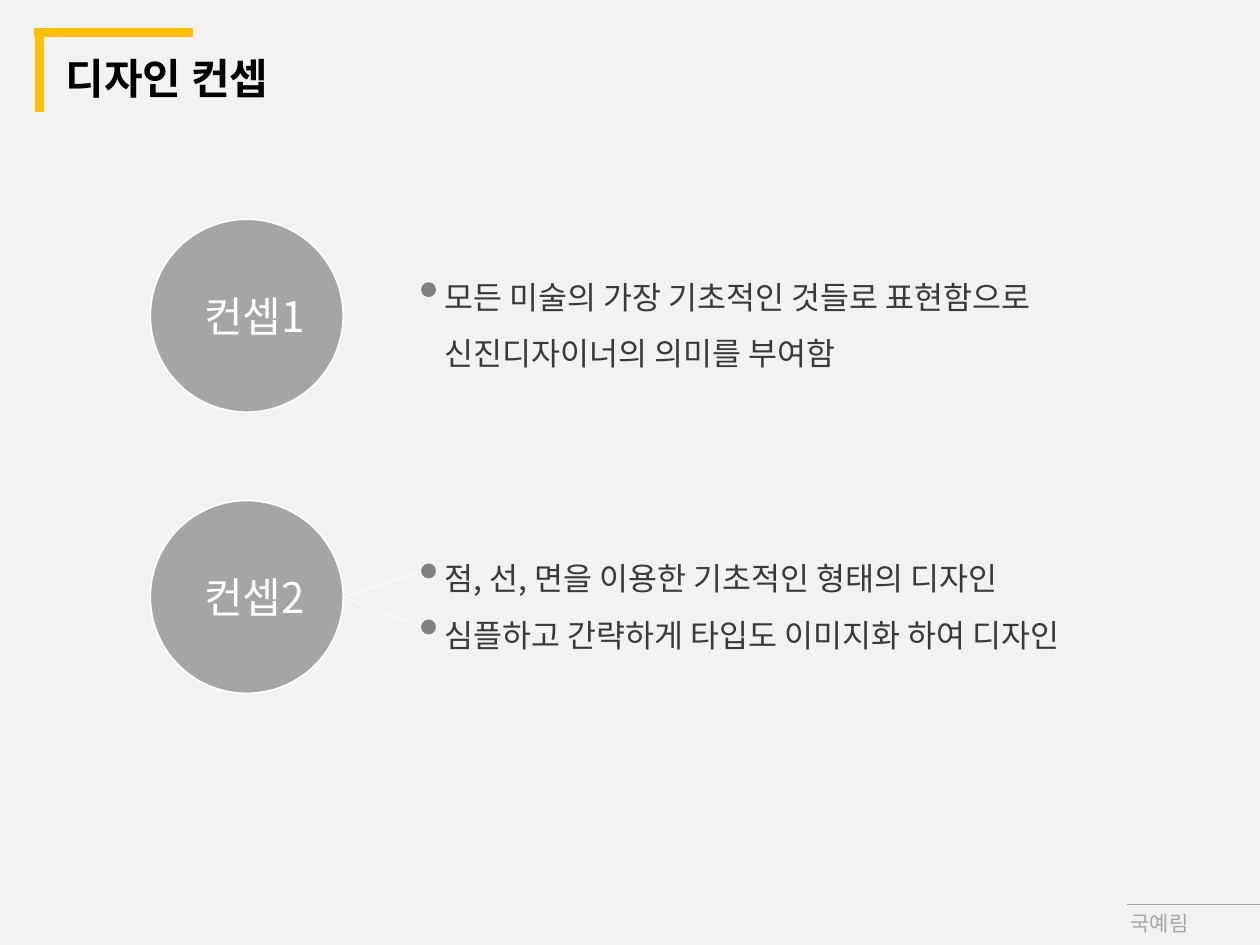
import pptx
import pptx.dml.color
import pptx.enum.dml
import pptx.enum.shapes
import pptx.enum.text
import pptx.oxml
import pptx.oxml.ns
import pptx.util
from pptx.enum.text import MSO_ANCHOR, PP_ALIGN
from pptx.util import Cm, Pt

FONT = "Noto Sans CJK KR"
COLORS = {
    "background": "F2F2F2",
    "accent": "FFC000",
    "title": "000000",
    "circle": "A5A5A5",
    "white": "FFFFFF",
    "body": "3B3838",
    "dot": "808080",
    "footer": "A6A6A6",
}
# Each concept holds bullets, and each bullet holds its lines.
CONCEPTS = [
    ("컨셉1", [["모든 미술의 가장 기초적인 것들로 표현함으로",
              "신진디자이너의 의미를 부여함"]]),
    ("컨셉2", [["점, 선, 면을 이용한 기초적인 형태의 디자인"],
              ["심플하고 간략하게 타입도 이미지화 하여 디자인"]]),
]


def rgb(name):
    return pptx.dml.color.RGBColor.from_string(COLORS[name])


def write_text(shape, lines, size, color, align=PP_ALIGN.LEFT, spacing=1.0,
               bold=False):
    frame = shape.text_frame
    frame.word_wrap = True
    frame.text = "\n".join(lines)
    for paragraph in frame.paragraphs:
        paragraph.alignment = align
        paragraph.line_spacing = spacing
        font = paragraph.font
        font.name, font.size, font.bold = FONT, Pt(size), bold
        font.color.rgb = rgb(color)
        # Korean glyphs take the East Asian typeface.
        properties = paragraph._p.pPr.find(pptx.oxml.ns.qn("a:defRPr"))
        east_asian = pptx.oxml.parse_xml(
            f'<a:ea {pptx.oxml.ns.nsdecls("a")} typeface="{FONT}"/>')
        properties.find(pptx.oxml.ns.qn("a:latin")).addnext(east_asian)


def add_text(slide, left, top, width, height, lines, size, color, **style):
    box = slide.shapes.add_textbox(Cm(left), Cm(top), Cm(width), Cm(height))
    write_text(box, lines, size, color, **style)


def add_line(slide, start, end, color, width, dash=None):
    line = slide.shapes.add_connector(
        pptx.enum.shapes.MSO_CONNECTOR.STRAIGHT,
        *(Cm(value) for value in (*start, *end)))
    line.line.color.rgb = rgb(color)
    line.line.width = Pt(width)
    if dash:
        line.line.dash_style = dash
    line._element.spPr.append(pptx.oxml.parse_xml(
        f'<a:effectLst {pptx.oxml.ns.nsdecls("a")}/>'))


def add_circle(slide, left, top, size, fill, outline=None):
    circle = slide.shapes.add_shape(
        pptx.enum.shapes.MSO_SHAPE.OVAL, Cm(left), Cm(top), Cm(size), Cm(size))
    circle.shadow.inherit = False
    circle.fill.solid()
    circle.fill.fore_color.rgb = rgb(fill)
    if outline:
        circle.line.color.rgb = rgb(outline)
        circle.line.width = Pt(1)
    else:
        circle.line.fill.background()


def add_header(slide, left, top, text):
    """Place the title inside a two-sided corner bracket."""
    add_line(slide, (left, top), (left + 3.2, top), "accent", 5)
    add_line(slide, (left + 0.11, top + 1.6), (left + 0.11, top), "accent", 5)
    title = slide.shapes.title
    title.left, title.top = Cm(left + 0.38), Cm(top + 0.33)
    title.width, title.height = Cm(19.91), Cm(1.27)
    title.text_frame.vertical_anchor = MSO_ANCHOR.MIDDLE
    write_text(title, [text], 24, "title", spacing=0.9, bold=True)


def add_footer(slide, left, top, text):
    add_text(slide, left - 1.45, top, 2.95, 0.76, [text], 12, "footer",
             align=PP_ALIGN.RIGHT)
    add_line(slide, (left, top), (25.4, top), "circle", 0.5)


def add_concept(slide, left, top, label, bullets):
    """Place a labelled circle, fanned out to its bullets if there are several."""
    diameter, dot_size, line_pitch = 3.89, 0.3, 1.13
    dot_left = left + 5.46
    add_circle(slide, left, top, diameter, "circle", "white")
    add_text(slide, left + 0.77, top + 1.31, 2.67, 1.27, [label], 24, "white",
             align=PP_ALIGN.CENTER)
    dot_tops = [top + 1.27 + index * line_pitch for index in range(len(bullets))]
    if len(bullets) > 1:
        for dot_top in dot_tops:
            add_line(slide, (dot_left, dot_top + dot_size / 2),
                     (left + diameter, top + diameter / 2), "white", 0.5,
                     pptx.enum.dml.MSO_LINE.SQUARE_DOT)
    add_text(slide, left + 5.69, top + 0.67, 15.27, 2.57, sum(bullets, []),
             18, "body", spacing=1.5)
    for dot_top in dot_tops:
        add_circle(slide, dot_left, dot_top, dot_size, "dot")


def main():
    presentation = pptx.Presentation()
    presentation.slide_width, presentation.slide_height = Cm(25.4), Cm(19.05)
    slide = presentation.slides.add_slide(presentation.slide_layouts[5])
    slide.background.fill.solid()
    slide.background.fill.fore_color.rgb = rgb("background")
    add_header(slide, 0.69, 0.66, "디자인 컨셉")
    for index, (label, bullets) in enumerate(CONCEPTS):
        add_concept(slide, 3.03, 4.42 + index * 5.67, label, bullets)
    add_footer(slide, 22.71, 18.24, "국예림")
    presentation.save("out.pptx")


if __name__ == "__main__":
    main()
